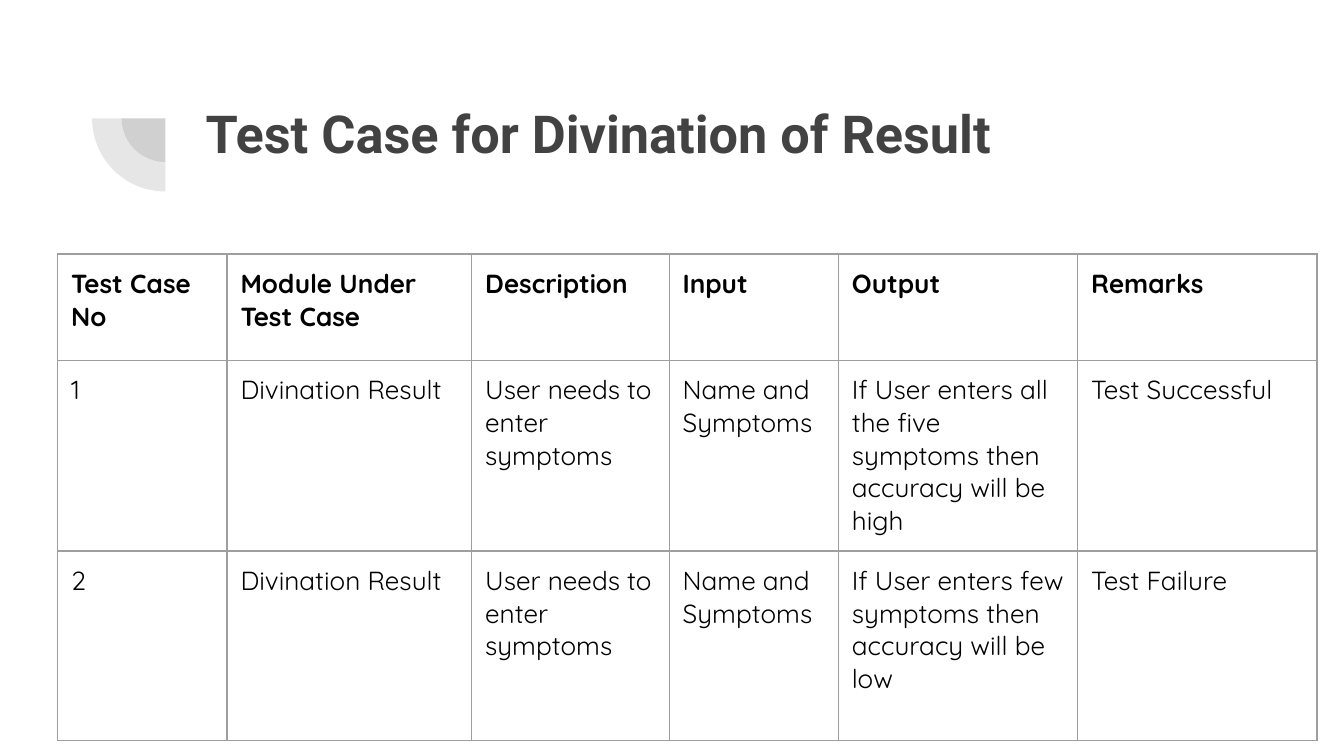
"""Build a slide with a table of test cases for the divination of a result."""
import lxml.etree
import pptx
import pptx.dml.color
import pptx.enum.shapes
import pptx.enum.text
import pptx.oxml.ns
import pptx.util

COLORS = {"ink": "424242", "text": "000000", "border": "9E9E9E"}
MARGINS = ("margin_left", "margin_top", "margin_right", "margin_bottom")
INCH = pptx.util.Inches
qn = pptx.oxml.ns.qn


def format_text(frame, font_name, size, bold, color):
    paragraph = frame.paragraphs[0]
    paragraph.alignment = pptx.enum.text.PP_ALIGN.LEFT
    font = paragraph.runs[0].font
    for key, value in {"name": font_name, "size": pptx.util.Pt(size), "bold": bold}.items():
        setattr(font, key, value)
    font.color.rgb = pptx.dml.color.RGBColor.from_string(COLORS[color])


deck = pptx.Presentation()
deck.slide_width = INCH(10)
deck.slide_height = deck.slide_width * 9 // 16
slide = deck.slides.add_slide(deck.slide_layouts[5])

center_x, center_y = 1.23, 0.88
for diameter in (0.65, 1.09):
    quarter = slide.shapes.add_shape(
        pptx.enum.shapes.MSO_SHAPE.PIE,
        INCH(center_x - diameter / 2), INCH(center_y - diameter / 2),
        INCH(diameter), INCH(diameter))
    quarter.adjustments[0], quarter.adjustments[1] = 108, 162
    quarter.rotation = 270
    quarter.shadow.inherit = False
    quarter.line.fill.background()
    quarter.fill.solid()
    quarter.fill.fore_color.rgb = pptx.dml.color.RGBColor.from_string(COLORS["ink"])
    tint = quarter.element.spPr.find(qn("a:solidFill")).find(qn("a:srgbClr"))
    lxml.etree.SubElement(tint, qn("a:alpha"), val="13000")

heading = slide.shapes.title
place = {"left": 1.43, "top": 0.65, "width": 7.69, "height": 1.09}
for key, value in place.items():
    setattr(heading, key, INCH(value))
heading.text_frame.text = "Test Case for Divination of Result"
layout = {"word_wrap": True, "auto_size": pptx.enum.text.MSO_AUTO_SIZE.NONE,
          "vertical_anchor": pptx.enum.text.MSO_ANCHOR.TOP}
layout.update(dict.fromkeys(MARGINS, INCH(0.1)))
for key, value in layout.items():
    setattr(heading.text_frame, key, value)
format_text(heading.text_frame, "Roboto", 28, True, "ink")

needs, inputs = "User needs to enter symptoms", "Name and Symptoms"
test_cases = [
    ["Test Case No", "Module Under Test Case", "Description", "Input", "Output", "Remarks"],
    ["1", "Divination Result", needs, inputs,
     "If User enters all the five symptoms then accuracy will be high", "Test Successful"],
    ["2", "Divination Result", needs, inputs,
     "If User enters few symptoms then accuracy will be low", "Test Failure"],
]
column_widths = [1.26, 1.82, 1.47, 1.26, 1.78, 1.78]
row_heights = [0.79, 1.42, 1.41]

grid = slide.shapes.add_table(
    len(row_heights), len(column_widths), INCH(0.43), INCH(1.89),
    INCH(sum(column_widths)), INCH(sum(row_heights))).table
grid.first_row = grid.horz_banding = False
for column, width in zip(grid.columns, column_widths):
    column.width = INCH(width)
for row, height in zip(grid.rows, row_heights):
    row.height = INCH(height)

for row_index, case in enumerate(test_cases):
    for column_index, entry in enumerate(case):
        cell = grid.cell(row_index, column_index)
        cell.text = entry
        format_text(cell.text_frame, "Quicksand", 14, row_index == 0, "text")
        for margin in MARGINS:
            setattr(cell, margin, INCH(0.1))
        properties = cell._tc.get_or_add_tcPr()
        for side in ("a:lnL", "a:lnR", "a:lnT", "a:lnB"):
            border = lxml.etree.SubElement(properties, qn(side), w=str(pptx.util.Pt(0.75)))
            paint = lxml.etree.SubElement(border, qn("a:solidFill"))
            lxml.etree.SubElement(paint, qn("a:srgbClr"), val=COLORS["border"])
        cell.fill.background()

deck.save("out.pptx")
